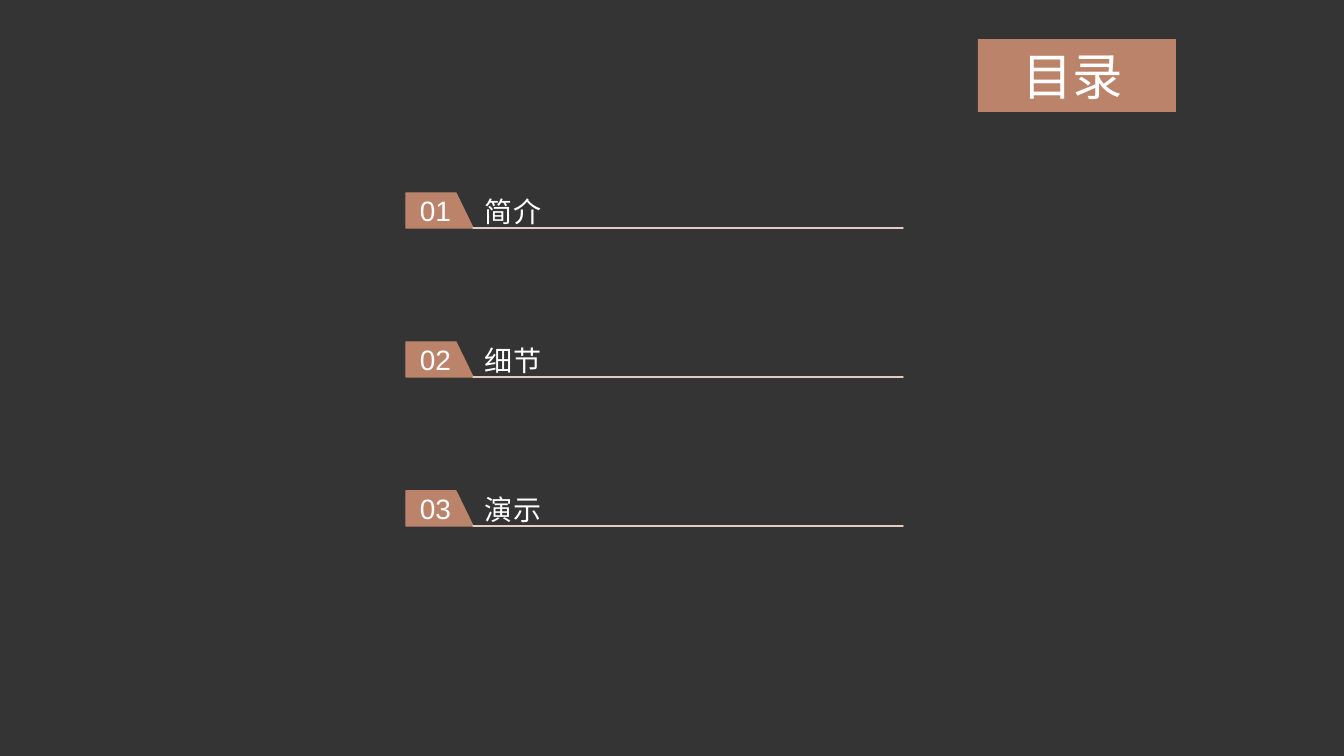
"""Builds a dark contents slide with three numbered entries."""
import pptx
import pptx.dml.color
import pptx.enum.shapes
import pptx.enum.text
import pptx.util

RGBColor = pptx.dml.color.RGBColor
GREY = RGBColor(0x58, 0x5A, 0x5C)
DARK = RGBColor(0x34, 0x34, 0x34)
CLAY = RGBColor(0xBA, 0x83, 0x6A)
PALE = RGBColor(0xE3, 0xCD, 0xC3)
WHITE = RGBColor(0xFF, 0xFF, 0xFF)

SCALE = 914400 / 100.8
WIDE, HIGH = 1344, 756
FONT = "Arial"
ENTRIES = ["简介", "细节", "演示"]
LEFT, SLANT, EDGE, RIGHT = 406, 456, 473, 903
TOP, PITCH, TALL, RISE = 193, 149, 35, 44


def px(size):
    """Turn pixels into EMU."""
    return pptx.util.Emu(round(size * SCALE))


def write(shape, text, size, align, left=0, right=0, gap=None):
    """Put one middle-anchored line of white text in a shape."""
    frame = shape.text_frame
    frame.word_wrap = True
    frame.vertical_anchor = pptx.enum.text.MSO_ANCHOR.MIDDLE
    frame.margin_top = frame.margin_bottom = 0
    frame.margin_left, frame.margin_right = px(left), px(right)
    para = frame.paragraphs[0]
    para.text = text
    para.alignment = align
    para.line_spacing = gap
    para.font.name = FONT
    para.font.size = pptx.util.Pt(size)
    para.font.color.rgb = WHITE


def paint(shape, fill, line):
    """Set fill and line, where None means neither, and drop the shadow."""
    shape.shadow.inherit = False
    if fill is None:
        shape.fill.background()
    else:
        shape.fill.solid()
        shape.fill.fore_color.rgb = fill
    if line is None:
        shape.line.fill.background()
    else:
        shape.line.color.rgb = line
        shape.line.width = pptx.util.Pt(1)


def add_block(slide, left, top, width, height, fill):
    """Add a plain filled rectangle."""
    kind = pptx.enum.shapes.MSO_SHAPE.RECTANGLE
    block = slide.shapes.add_shape(kind, px(left), px(top), px(width), px(height))
    paint(block, fill, None)
    return block


def add_tag(slide, top, text):
    """Add a number tag with a slanted right side."""
    low = top + TALL
    pen = slide.shapes.build_freeform(LEFT, top, scale=SCALE)
    pen.add_line_segments([(SLANT, top), (EDGE, low), (LEFT, low)])
    tag = pen.convert_to_shape()
    paint(tag, CLAY, CLAY)
    write(tag, text, 20, pptx.enum.text.PP_ALIGN.CENTER, right=8)


def add_label(slide, low, text):
    """Add an underlined entry whose outline also holds its top corner."""
    high = low - RISE
    pen = slide.shapes.build_freeform(EDGE, low, scale=SCALE)
    pen.add_line_segments([(RIGHT, low), (EDGE, low)])
    pen.move_to(EDGE, high)
    pen.add_line_segments([(EDGE, high)])
    label = pen.convert_to_shape()
    paint(label, None, PALE)
    write(label, text, 20, pptx.enum.text.PP_ALIGN.LEFT, left=12, gap=1.3)


def main():
    """Build and save the slide."""
    deck = pptx.Presentation()
    deck.slide_width, deck.slide_height = px(WIDE), px(HIGH)
    slide = deck.slides.add_slide(deck.slide_layouts[6])
    slide.background.fill.solid()
    slide.background.fill.fore_color.rgb = GREY
    add_block(slide, 0, 0, WIDE, HIGH, DARK)
    title = add_block(slide, 978, 39, 198, 73, CLAY)
    write(title, "目录", 36, pptx.enum.text.PP_ALIGN.CENTER, right=8)
    for row, text in enumerate(ENTRIES):
        top = TOP + row * PITCH
        add_tag(slide, top, f"{row + 1:02}")
        add_label(slide, top + TALL, text)
    deck.save("out.pptx")


if __name__ == "__main__":
    main()
